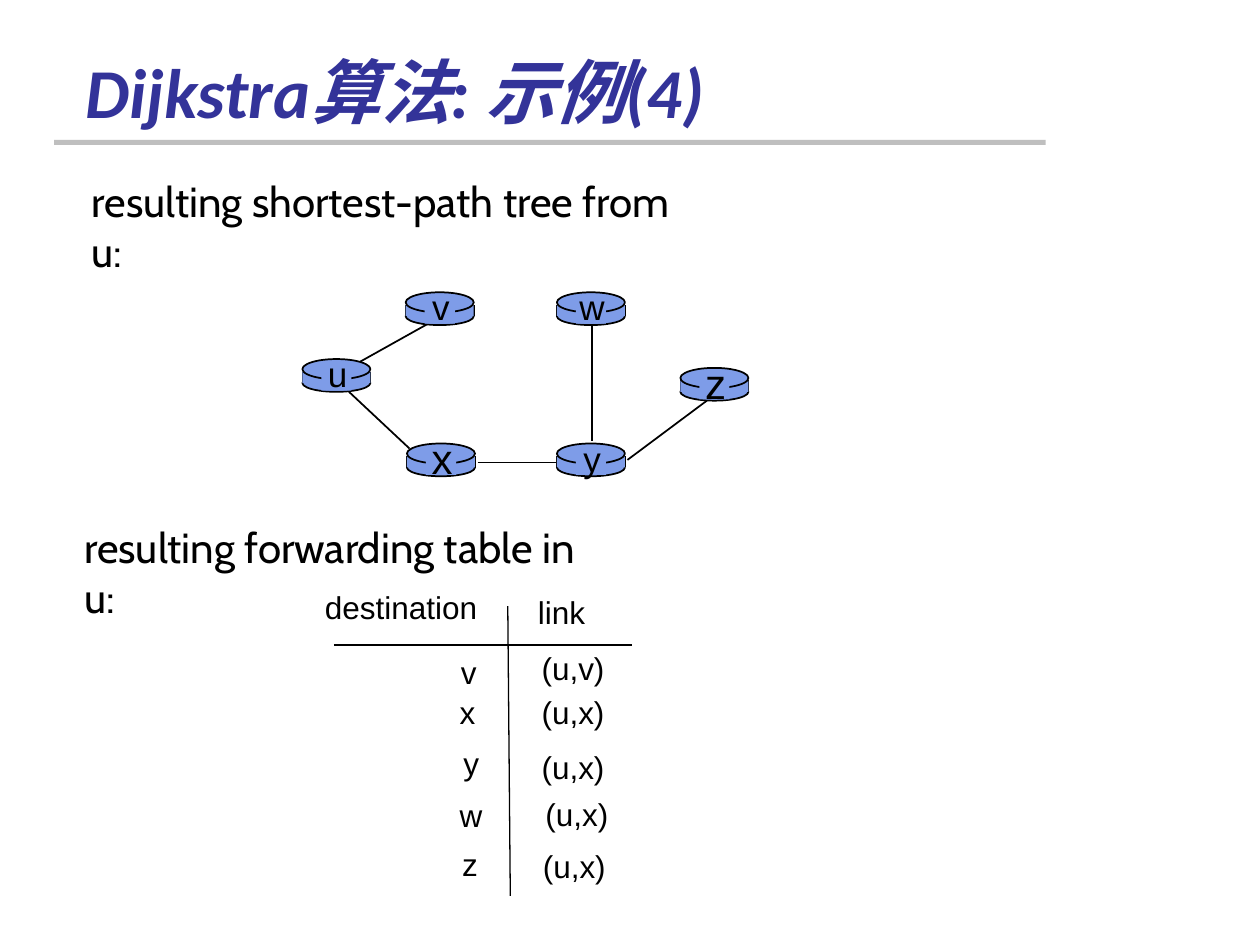
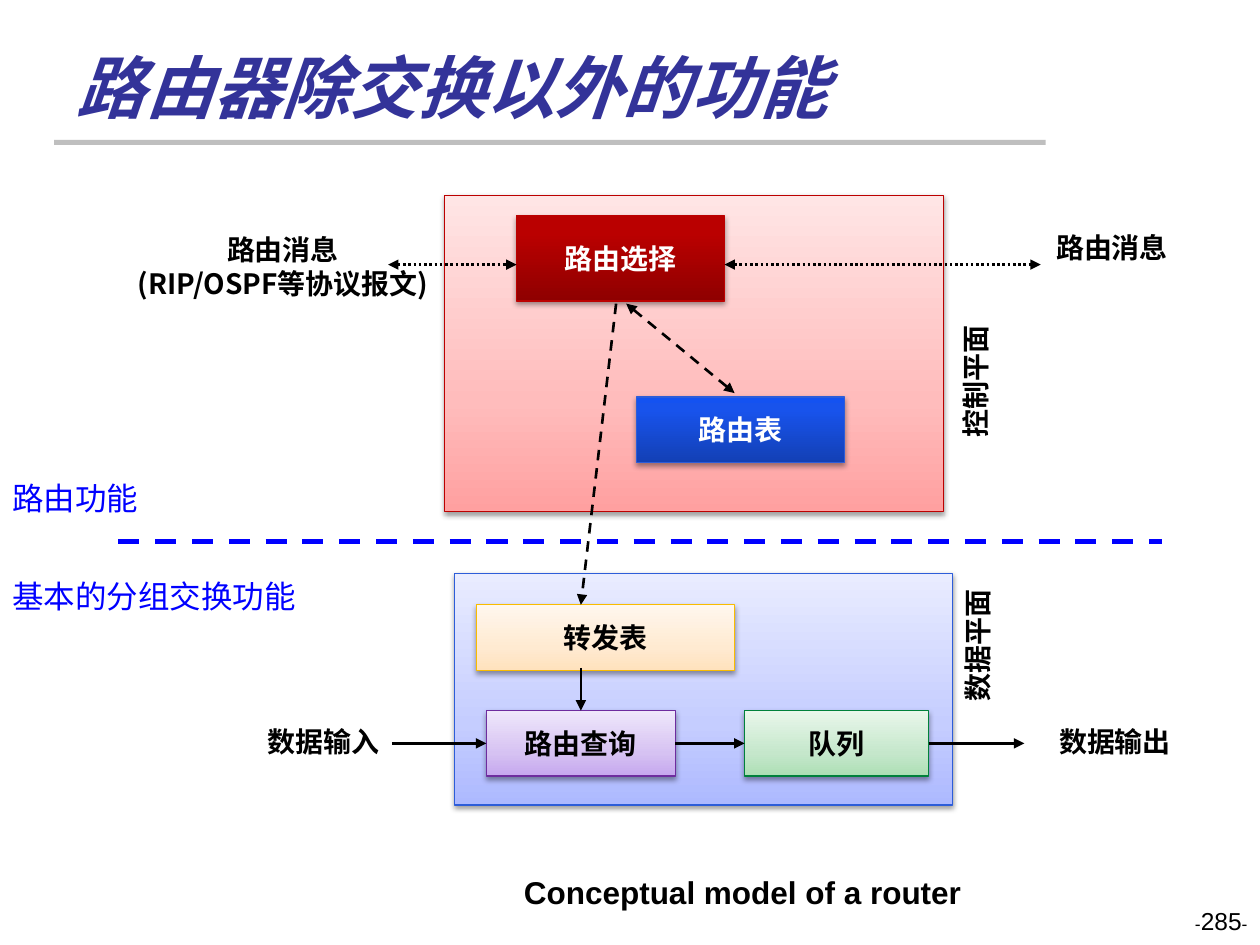
import lxml.etree
import pptx
import pptx.dml.color
import pptx.enum.dml
import pptx.enum.shapes
import pptx.enum.text
import pptx.oxml.ns
import pptx.util

PX = 9144  # EMU in one px, 100 px to the inch
BLACK, WHITE, BLUE = "000000", "FFFFFF", "0000FF"
TITLE_BLUE, RULE_GREY, ROUTER_BLUE = "333399", "BFBFBF", "7E9CE8"
LATIN, CHINESE, ROUNDED = "Arial", "Noto Sans CJK SC", "Cabin"

SHAPES = pptx.enum.shapes.MSO_SHAPE
ALIGN = pptx.enum.text.PP_ALIGN
ANCHOR = pptx.enum.text.MSO_ANCHOR
DASH = pptx.enum.dml.MSO_LINE
TOP, LEFT, BOTTOM, RIGHT = range(4)


def color(value):
    return pptx.dml.color.RGBColor.from_string(value)


def px(*lengths):
    return [pptx.util.Emu(round(length * PX)) for length in lengths]


def add_xml(parent, tag, **attributes):
    values = {name: str(value) for name, value in attributes.items()}
    return lxml.etree.SubElement(parent, pptx.oxml.ns.qn(tag), values)


def write(frame, text, size=18, font=LATIN, ink=BLACK, bold=False, italic=False,
          align=ALIGN.LEFT, anchor=ANCHOR.TOP, wrap=False):
    """Fill a text frame; text is a string or a list of (text, size) runs."""
    frame.word_wrap = wrap
    frame.auto_size = pptx.enum.text.MSO_AUTO_SIZE.NONE
    frame.vertical_anchor = anchor
    paragraph = frame.paragraphs[0]
    paragraph.alignment = align
    if isinstance(text, str):
        paragraph.text = text
        sizes = [size] * len(paragraph.runs)
    else:
        sizes = [run_size for _, run_size in text]
        for words, _ in text:
            paragraph.add_run().text = words
    for run, run_size in zip(paragraph.runs, sizes):
        run.font.size = pptx.util.Pt(run_size)
        run.font.bold, run.font.italic = bold, italic
        run.font.name = font
        run.font.color.rgb = color(ink)
        add_xml(run.font._element, "a:ea", typeface=CHINESE)


class Deck:
    """Holds the presentation, its style and the slide being drawn."""

    def __init__(self):
        self.presentation = pptx.Presentation()
        self.presentation.slide_width, self.presentation.slide_height = px(1000, 750)
        self.slide = None

    def start_slide(self, title, box, size):
        layout = self.presentation.slide_layouts.get_by_name("Title Only")
        self.slide = self.presentation.slides.add_slide(layout)
        self.shape(SHAPES.RECTANGLE, 43, 111, 787, 4, fill=RULE_GREY)
        holder = self.slide.shapes.title
        holder.left, holder.top, holder.width, holder.height = px(*box)
        write(holder.text_frame, title, size=size, font="Calibri", ink=TITLE_BLUE,
              bold=True, italic=True, anchor=ANCHOR.BOTTOM, wrap=True)

    def shape(self, kind, left, top, width, height, fill=None, line=None, weight=1):
        shape = self.slide.shapes.add_shape(kind, *px(left, top, width, height))
        shape.shadow.inherit = False
        if fill:
            shape.fill.solid()
            shape.fill.fore_color.rgb = color(fill)
        if line:
            shape.line.color.rgb = color(line)
            shape.line.width = pptx.util.Pt(weight)
        else:
            shape.line.fill.background()
        return shape

    def gradient_box(self, left, top, width, height, stops, line, label=None, ink=BLACK):
        """Draw a shadowed box whose gradient runs from bottom to top."""
        box = self.shape(SHAPES.RECTANGLE, left, top, width, height, line=line, weight=0.75)
        box.fill.gradient()
        box.fill.gradient_angle = 90
        properties = box._element.spPr
        stop_list = properties.find(".//" + pptx.oxml.ns.qn("a:gsLst"))
        for stop in list(stop_list):
            stop_list.remove(stop)
        for position, value in stops:
            stop = add_xml(stop_list, "a:gs", pos=position * 1000)
            add_xml(stop, "a:srgbClr", val=value)
        effects = properties.find(pptx.oxml.ns.qn("a:effectLst"))
        shadow = add_xml(effects, "a:outerShdw", blurRad=40000, dist=20000,
                         dir=5400000, rotWithShape=0)
        add_xml(add_xml(shadow, "a:srgbClr", val=BLACK), "a:alpha", val=38000)
        if label:
            write(box.text_frame, label, size=16, font=CHINESE, ink=ink, bold=True,
                  align=ALIGN.CENTER, anchor=ANCHOR.MIDDLE)
        return box

    def text(self, text, left, top, width, height=40, rotation=0, **style):
        box = self.slide.shapes.add_textbox(*px(left, top, width, height))
        box.rotation = rotation
        write(box.text_frame, text, **style)

    def line(self, start, end, weight=1, ink=BLACK, dash=None, arrows="",
             begin=None, finish=None):
        """Draw a line; arrows may name "start" and "end", begin and finish are (shape, side)."""
        connector = self.slide.shapes.add_connector(
            pptx.enum.shapes.MSO_CONNECTOR.STRAIGHT, *px(*start, *end))
        connector.line.color.rgb = color(ink)
        connector.line.width = pptx.util.Pt(weight)
        if dash:
            connector.line.dash_style = dash
        properties = connector._element.spPr
        stroke = properties.find(pptx.oxml.ns.qn("a:ln"))
        for name, tag in (("start", "a:headEnd"), ("end", "a:tailEnd")):
            if name in arrows:
                add_xml(stroke, tag, type="triangle")
        add_xml(properties, "a:effectLst")
        if begin:
            connector.begin_connect(*begin)
        if finish:
            connector.end_connect(*finish)

    def router(self, name, left, top, size):
        """Draw a disc-shaped router with its name on a patch in the middle."""
        self.shape(SHAPES.OVAL, left, top + 12, 54, 14, ROUTER_BLUE, BLACK)
        for side in (left, left + 54):
            self.line((side, top + 10), (side, top + 19))
        self.shape(SHAPES.RECTANGLE, left, top + 10, 54, 9, ROUTER_BLUE)
        self.shape(SHAPES.OVAL, left, top, 54, 16, ROUTER_BLUE, BLACK)
        self.shape(SHAPES.RECTANGLE, left + 15, top + 2, 24, 23, ROUTER_BLUE)
        height = 50 if size == 24 else 43
        self.text(name, left + 10, top + 11.5 - height / 2, 36, height, size=size,
                  align=ALIGN.CENTER, anchor=ANCHOR.MIDDLE)


def draw_shortest_paths(deck):
    deck.start_slide("Dijkstra算法: 示例(4)", (58, 17, 850, 93), 40)
    links = [((286, 287), (345, 254)), ((277, 311), (325, 356)), ((379, 367), (443, 367)),
             ((470, 259), (470, 350)), ((498, 365), (561, 318))]
    for start, end in links:
        deck.line(start, end)
    routers = [("u", 240, 285, 20), ("v", 322, 232, 20), ("w", 442, 232, 20),
               ("x", 323, 352, 24), ("y", 442, 352, 20), ("z", 540, 292, 24)]
    for router in routers:
        deck.router(*router)

    headings = [("resulting shortest-path tree from u:", 63, 134, 500),
                ("resulting forwarding table in u:", 57, 409, 432)]
    for heading in headings:
        deck.text(*heading, height=50, size=24, font=ROUNDED, wrap=True)

    deck.line((403, 481), (405, 711), weight=0.75)
    deck.line((265, 512), (502, 512), weight=0.75)
    deck.text("destination", 248, 462, 141)
    deck.text("link", 417, 466, 58)
    forwarding_rows = [("v", 356, 513, "(u,v)", 420, 510), ("x", 355, 545, "(u,x)", 420, 545),
                       ("y", 358, 586, "(u,x)", 420, 589), ("w", 355, 627, "(u,x)", 423, 626),
                       ("z", 357, 666, "(u,x)", 421, 667)]
    for target, target_left, target_top, link, link_left, link_top in forwarding_rows:
        deck.text(target, target_left, target_top, 38 if target == "w" else 33)
        deck.text(link, link_left, link_top, 70)


def draw_router_model(deck):
    deck.start_slide("路由器除交换以外的功能", (51, 28, 825, 78), 39)
    deck.text([("-", 10), ("285", 14), ("-", 10)], 767, 714, 233, 50,
              align=ALIGN.RIGHT, wrap=True)
    deck.line((94, 430), (922, 430), weight=3, ink=BLUE, dash=DASH.DASH)
    deck.text("基本的分组交换功能", 0, 453, 247, font=CHINESE, ink=BLUE)
    deck.text("路由功能", 0, 375, 128, font=CHINESE, ink=BLUE)
    deck.text("Conceptual model of a router", 406, 688, 378, bold=True)

    def pale(*values):
        return list(zip((0, 35, 100), values))

    def strong(*values):
        return list(zip((0, 80, 100), values))

    deck.gradient_box(353, 155, 396, 251, pale("FFA0A0", "FFBCBC", "FFE5E5"), "BC0000")
    deck.gradient_box(361, 455, 395, 184, pale("ADB9FF", "C5CDFF", "E9ECFF"), "2D5DD9")
    queue = deck.gradient_box(591, 564, 146, 52, pale("ACDFB4", "C5E7CB", "E9F7EB"),
                              "00813B", "队列")
    deck.gradient_box(410, 171, 165, 68, strong("8F0000", "BA0000", "BB0000"),
                      "BC0000", "路由选择", WHITE)
    lookup = deck.gradient_box(386, 564, 150, 52, pale("C5A6EE", "D6C2F2", "EFE7FB"),
                               "6E2C9F", "路由查询")
    deck.gradient_box(378, 480, 205, 52, pale("FFE2BD", "FFEAD1", "FFF7EE"),
                      "F9BC00", "转发表")
    deck.gradient_box(505, 315, 165, 52, strong("1340B5", "1853EC", "1452F1"),
                      "2D5DD9", "路由表", WHITE)

    flow = {"weight": 1.5, "arrows": "end"}
    deck.line((311, 590), (386, 590), finish=(lookup, LEFT), **flow)
    deck.line((536, 590), (591, 590), begin=(lookup, RIGHT), finish=(queue, LEFT), **flow)
    deck.line((737, 590), (813, 590), begin=(queue, RIGHT), **flow)
    deck.line((461, 530), (461, 564), arrows="end", finish=(lookup, TOP))
    deck.line((489, 241), (461, 480), dash=DASH.DASH, **flow)
    exchange = {"weight": 1.5, "arrows": "start end"}
    deck.line((497, 241), (583, 312), dash=DASH.DASH, **exchange)
    deck.line((308, 210), (410, 210), dash=DASH.ROUND_DOT, **exchange)
    deck.line((575, 210), (826, 210), dash=DASH.ROUND_DOT, **exchange)

    label = {"size": 16, "font": CHINESE, "bold": True, "align": ALIGN.CENTER}
    deck.text("路由消息\n(RIP/OSPF等协议报文)", 95, 180, 259, 64, wrap=True, **label)
    deck.text("路由消息", 827, 178, 111, 37, **label)
    deck.text("数据输入", 201, 570, 111, 37, **label)
    deck.text("数据输出", 818, 570, 134, 37, wrap=True, **label)
    deck.text("控制平面", 719, 284, 111, 37, rotation=270, **label)
    deck.text("数据平面", 720, 494, 111, 37, rotation=270, **label)


def main():
    deck = Deck()
    draw_shortest_paths(deck)
    draw_router_model(deck)
    deck.presentation.save("out.pptx")


if __name__ == "__main__":
    main()
